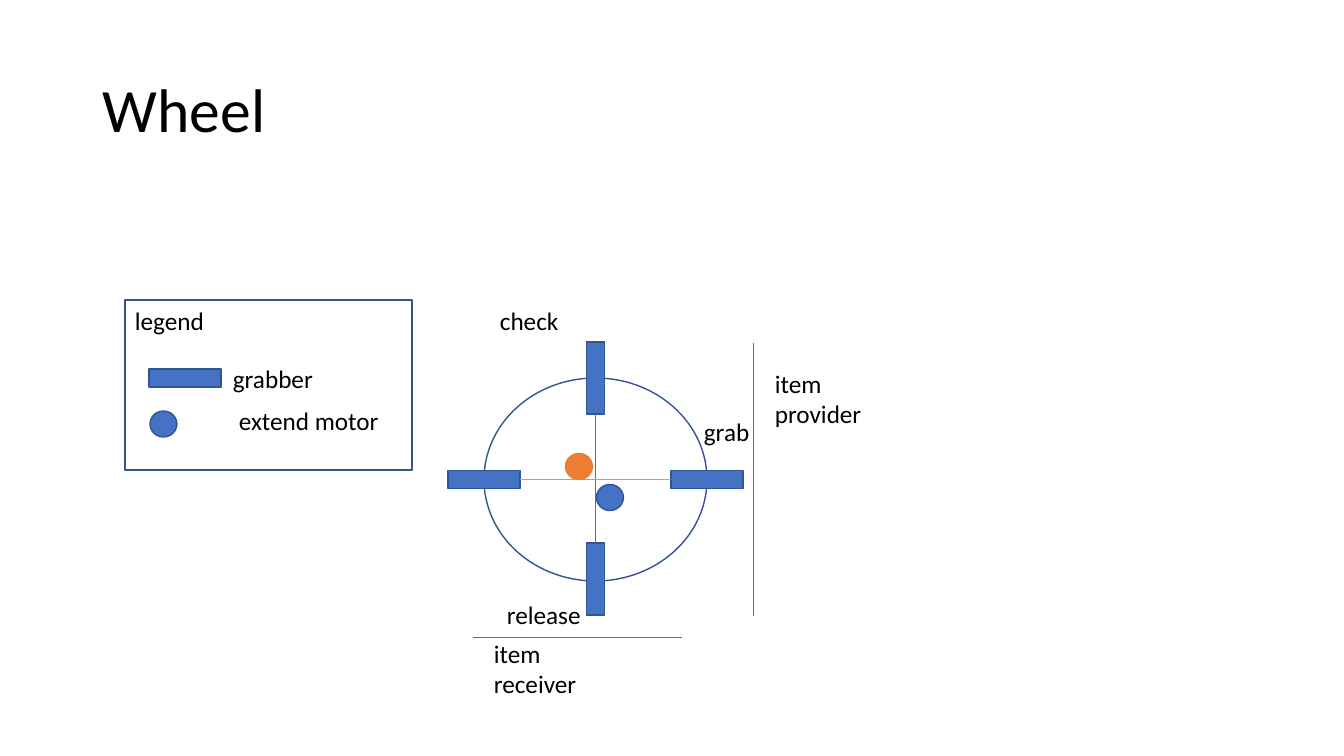
import pptx
import pptx.util
import pptx.dml.color
import pptx.enum.shapes
import pptx.enum.text
import pptx.oxml.ns
from dataclasses import dataclass
from lxml import etree

SCALE = 914400 / 100.8
KIND = pptx.enum.shapes.MSO_SHAPE
ANCHOR = pptx.enum.text.MSO_ANCHOR


@dataclass(frozen=True)
class Theme:
    font: str = "Calibri"
    ink: str = "000000"
    blue: str = "4472C4"
    edge: str = "325491"
    orange: str = "ED7D31"
    gray: str = "A5A5A5"
    title: int = 44
    body: int = 18
    thin: float = 0.5
    line: float = 1


THEME = Theme()
BAR = (72, 18)
DOT = (27, 26)


def px(*nums):
    return [pptx.util.Emu(round(num * SCALE)) for num in nums]


def tint(code):
    return pptx.dml.color.RGBColor.from_string(code)


def write(frame, text, size=THEME.body, anchor=ANCHOR.TOP):
    frame.word_wrap = True
    frame.vertical_anchor = anchor
    frame.text = text
    para = frame.paragraphs[0]
    para.alignment = pptx.enum.text.PP_ALIGN.LEFT
    font = para.runs[0].font
    font.name = THEME.font
    font.size = pptx.util.Pt(size)
    font.color.rgb = tint(THEME.ink)
    return para


def label(slide, text, left, top, wide, high=40):
    box = slide.shapes.add_textbox(*px(left, top, wide, high))
    write(box.text_frame, text)


def shape(slide, kind, box, fill=None, edge=THEME.edge):
    item = slide.shapes.add_shape(kind, *px(*box))
    item.shadow.inherit = False
    if fill:
        item.fill.solid()
        item.fill.fore_color.rgb = tint(fill)
    else:
        item.fill.background()
    item.line.color.rgb = tint(edge)
    item.line.width = pptx.util.Pt(THEME.line)
    return item


def rule(slide, ends, color=THEME.blue, width=THEME.thin):
    line = slide.shapes.add_connector(
        pptx.enum.shapes.MSO_CONNECTOR.STRAIGHT, *px(*ends))
    line.line.color.rgb = tint(color)
    line.line.width = pptx.util.Pt(width)
    etree.SubElement(line._element.spPr, pptx.oxml.ns.qn("a:effectLst"))


def grabber(slide, mid, row, turn=0):
    wide, high = BAR
    bar = shape(slide, KIND.RECTANGLE,
                (mid - wide / 2, row - high / 2, wide, high), THEME.blue)
    bar.rotation = turn


def motor(slide, left, top, fill=THEME.blue, edge=THEME.edge):
    shape(slide, KIND.OVAL, (left, top, *DOT), fill, edge)


def heading(slide, left, top, wide, high):
    box = slide.shapes.add_textbox(*px(left, top, wide, high))
    para = write(box.text_frame, "Wheel", THEME.title, ANCHOR.MIDDLE)
    para.line_spacing = 0.9


def wheel(slide, left, top, wide, high):
    right, base = left + wide, top + high
    mid, row = left + wide / 2, top + high / 2
    shape(slide, KIND.OVAL, (left, top, wide, high))
    for spot in (right, left):
        grabber(slide, spot, row)
    for spot in (top, base - 2):
        grabber(slide, mid, spot, 90)
    reach = BAR[0] / 2
    rule(slide, (mid, top + reach, mid, base - reach - 2), width=THEME.line)
    rule(slide, (left + reach, row, right - reach, row), THEME.gray)
    motor(slide, mid + 1, row + 5)
    motor(slide, mid - 30, row - 26, THEME.orange, THEME.orange)
    label(slide, "check", left + 6, top - 78, 110)
    label(slide, "grab", right - 13, top + 33, 73)
    label(slide, "release", left + 13, base + 13, 101)
    rule(slide, (right + 46, top - 35, right + 46, base + 35))
    label(slide, "item provider", right + 58, top - 15, 117, 72)
    rule(slide, (left - 11, base + 56, right - 25, base + 56))
    label(slide, "item receiver", left, base + 52, 117, 72)


def legend(slide, left, top, wide, high):
    frame = shape(slide, KIND.RECTANGLE, (left, top, wide, high))
    write(frame.text_frame, "legend")
    grabber(slide, left + 60, top + 78)
    label(slide, "grabber", left + 98, top + 58, 147)
    motor(slide, left + 25, top + 111)
    label(slide, "extend motor", left + 104, top + 100, 162)


def main():
    deck = pptx.Presentation()
    deck.slide_width, deck.slide_height = px(1344, 756)
    slide = deck.slides.add_slide(deck.slide_layouts[6])
    heading(slide, 93, 40, 1159, 146)
    wheel(slide, 484, 378, 223, 203)
    legend(slide, 125, 300, 287, 170)
    deck.save("out.pptx")


if __name__ == "__main__":
    main()
